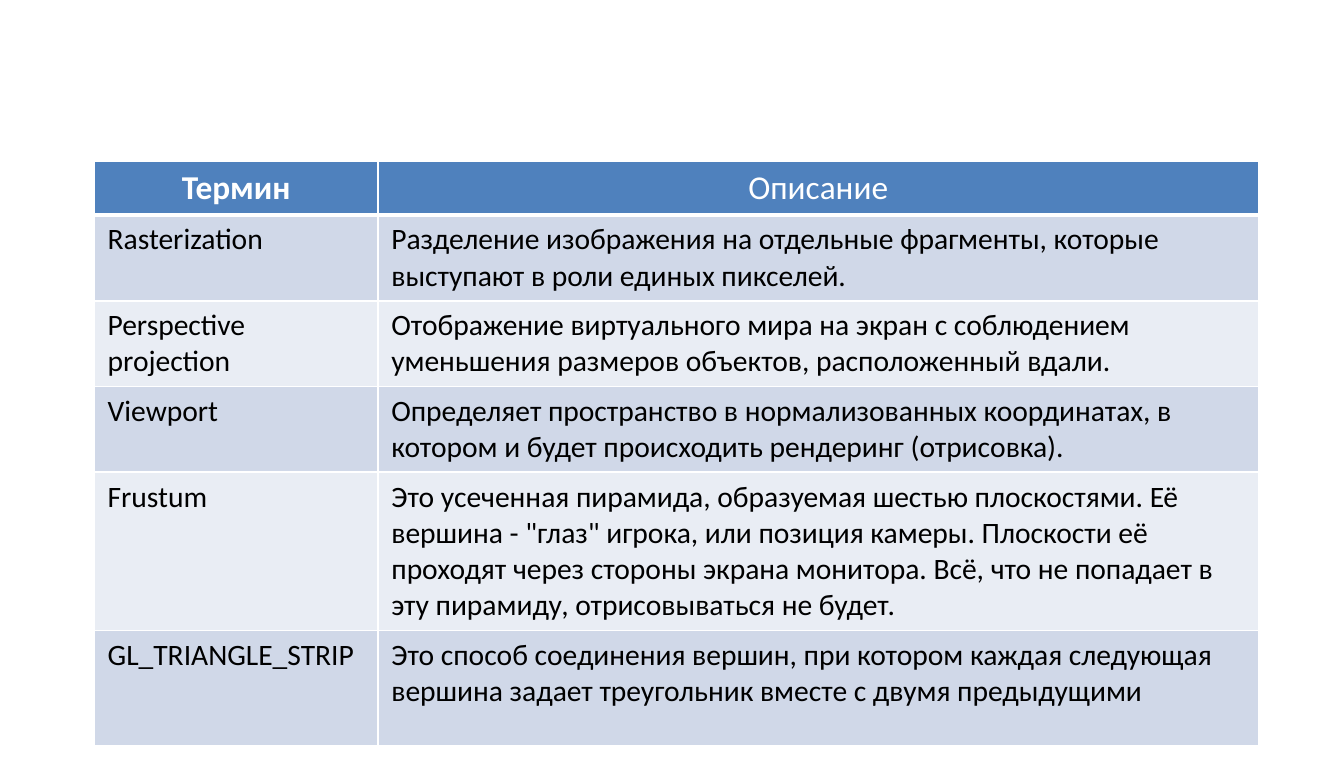
from dataclasses import dataclass

from lxml.etree import SubElement
from pptx import Presentation
from pptx.dml.color import RGBColor
from pptx.enum.text import PP_ALIGN
from pptx.oxml.ns import qn
from pptx.util import Cm, Pt

# Content
HEADER = ("Термин", "Описание")
TERMS = [
    ("Rasterization",
     "Разделение изображения на отдельные фрагменты, которые выступают "
     "в роли единых пикселей."),
    ("Perspective projection",
     "Отображение виртуального мира на экран с соблюдением уменьшения "
     "размеров объектов, расположенный вдали."),
    ("Viewport",
     "Определяет пространство в нормализованных координатах, в котором "
     "и будет происходить рендеринг (отрисовка)."),
    ("Frustum",
     'Это усеченная пирамида, образуемая шестью плоскостями. Её вершина '
     '- "глаз" игрока, или позиция камеры. Плоскости её проходят через '
     'стороны экрана монитора. Всё, что не попадает в эту пирамиду, '
     'отрисовываться не будет.'),
    ("GL_TRIANGLE_STRIP",
     "Это способ соединения вершин, при котором "
     "каждая следующая вершина задает треугольник вместе "
     "с двумя предыдущими"),
]

# Layout in centimetres
SLIDE_SIZE = (25.63, 14.53)
TABLE_LEFT, TABLE_TOP = 1.8, 3.07
COL_WIDTHS = (5.41, 16.79)
ROW_HEIGHTS = (1.02, 1.62, 1.55, 1.55, 2.84, 2.21)


@dataclass(frozen=True)
class Theme:
    font: str = "Calibri"
    header_size: int = 18
    body_size: int = 16
    header_fill: str = "4F81BD"
    bands: tuple = ("D0D8E8", "E9EDF4")
    header_text: str = "FFFFFF"
    body_text: str = "000000"
    border: str = "FFFFFF"
    border_width: int = 1
    header_rule: int = 3


THEME = Theme()


def set_border(cell, side, width):
    ln = SubElement(cell._tc.get_or_add_tcPr(), qn(f"a:ln{side}"), w=str(Pt(width)))
    fill = SubElement(ln, qn("a:solidFill"))
    SubElement(fill, qn("a:srgbClr"), val=THEME.border)


def format_cell(cell, text, row, col):
    is_header = row == 0
    # The rule under the header belongs to both adjoining cells
    widths = {side: THEME.border_width for side in "LRTB"}
    if row < 2:
        widths["B" if is_header else "T"] = THEME.header_rule
    for side, width in widths.items():
        set_border(cell, side, width)

    fill = THEME.header_fill if is_header else THEME.bands[(row - 1) % 2]
    cell.fill.solid()
    cell.fill.fore_color.rgb = RGBColor.from_string(fill)

    cell.text = text
    p = cell.text_frame.paragraphs[0]
    p.alignment = PP_ALIGN.CENTER if is_header else PP_ALIGN.LEFT
    p.font.name = THEME.font
    p.font.size = Pt(THEME.header_size if is_header else THEME.body_size)
    p.font.bold = is_header and col == 0
    p.font.color.rgb = RGBColor.from_string(
        THEME.header_text if is_header else THEME.body_text)


def add_terms_table(slide):
    rows = [HEADER, *TERMS]
    table = slide.shapes.add_table(
        len(rows), len(HEADER), Cm(TABLE_LEFT), Cm(TABLE_TOP),
        Cm(sum(COL_WIDTHS)), Cm(sum(ROW_HEIGHTS))).table
    for column, width in zip(table.columns, COL_WIDTHS):
        column.width = Cm(width)
    for row, height in zip(table.rows, ROW_HEIGHTS):
        row.height = Cm(height)
    for i, row in enumerate(rows):
        for j, text in enumerate(row):
            format_cell(table.cell(i, j), text, i, j)


def main():
    prs = Presentation()
    prs.slide_width, prs.slide_height = map(Cm, SLIDE_SIZE)
    # Blank layout: the slide has no title
    slide = prs.slides.add_slide(prs.slide_layouts[6])
    add_terms_table(slide)
    prs.save("out.pptx")


if __name__ == "__main__":
    main()
